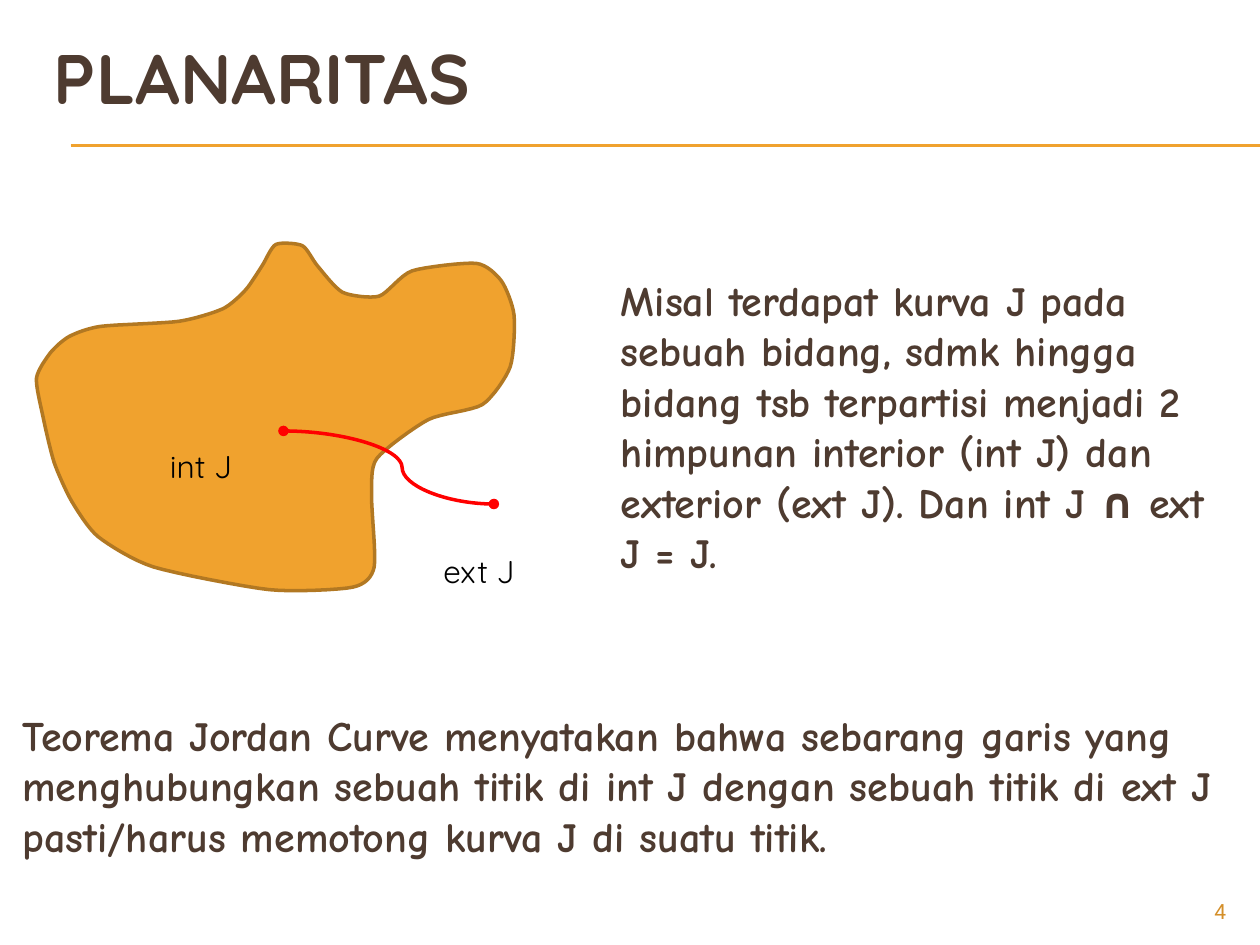
"""Build the planarity slide on the Jordan curve theorem."""
from itertools import chain
from lxml import etree
from pptx import Presentation
from pptx.dml.color import RGBColor
from pptx.enum import shapes as kinds, text as txt
from pptx.oxml import ns
from pptx.util import Inches, Pt

BROWN = RGBColor(0x4E, 0x3B, 0x30)
GOLD = RGBColor(0xF0, 0xA2, 0x2E)
DARK = RGBColor(0xB2, 0x78, 0x22)
OCHRE = RGBColor(0xD4, 0x8F, 0x29)
RED = RGBColor(0xFF, 0, 0)
BLACK = RGBColor(0, 0, 0)

TITLE = dict(size=40, font="Quicksand", color=BROWN, bold=True,
             anchor=txt.MSO_ANCHOR.MIDDLE)
BODY = dict(size=24, font="Comic Neue", color=BROWN, bold=True, before=4.8)
LABEL = dict(size=18, font="Quicksand", color=BLACK, wrap=False)
NUMBER = dict(size=12, font="Roboto", color=OCHRE, align=txt.PP_ALIGN.RIGHT)

TEXTS = [
    ("PLANARITAS", (0.33, 0.17, 9, 0.87), TITLE),
    ("Misal terdapat kurva J pada sebuah bidang, sdmk hingga bidang tsb "
     "terpartisi menjadi 2 himpunan interior (int J) dan exterior (ext J). "
     "Dan int J ∩ ext J = J.", (4.83, 2.13, 4.92, 2.62), BODY),
    ("4", (9, 7.08, 0.83, 0.27), NUMBER),
    ("Teorema Jordan Curve menyatakan bahwa sebarang garis yang "
     "menghubungkan sebuah titik di int J dengan sebuah titik di ext J "
     "pasti/harus memotong kurva J di suatu titik.",
     (0.08, 5.58, 9.92, 1.33), BODY),
    ("int J", (1.25, 3.5, 0.75, 0.42), LABEL),
    ("ext J", (3.42, 4.33, 0.83, 0.4), LABEL),
]

RULES = [1.15, 1.16]
LEFT, RIGHT = 0.56, 10

KNOTS = {
    "peak": [(2.4, 1.95), (2.19, 1.94), (2.08, 2.11), (1.95, 2.3)],
    "shoulder": [(1.77, 2.45), (1.42, 2.55), (0.8, 2.59), (0.55, 2.67)],
    "left": [(0.4, 2.8), (0.29, 3), (0.34, 3.3), (0.43, 3.67), (0.57, 3.98)],
    "base": [(0.78, 4.26), (1.22, 4.5), (2.14, 4.68), (2.8, 4.66)],
    "notch": [(2.97, 4.5), (2.95, 3.95), (2.99, 3.64), (3.4, 3.33)],
    "lobe": [(3.83, 3.21), (4.05, 2.91), (4.08, 2.5), (3.98, 2.23),
             (3.78, 2.09), (3.27, 2.15)],
    "dip": [(3.01, 2.35), (2.72, 2.32), (2.52, 2.11)],
}
STEPS = 8
PULL = 0.35

INNER, OUTER = (2.25, 3.42), (3.92, 4)
BEND = 56400


def write(slide, words, box, size, font, color, bold=False, before=0,
          align=txt.PP_ALIGN.LEFT, anchor=txt.MSO_ANCHOR.TOP, wrap=True):
    """Place one line or paragraph of text."""
    frame = slide.shapes.add_textbox(*map(Inches, box)).text_frame
    frame.word_wrap = wrap
    frame.vertical_anchor = anchor
    para = frame.paragraphs[0]
    para.alignment = align
    para.space_before = Pt(before)
    run = para.add_run()
    run.text = words
    run.font.size = Pt(size)
    run.font.name = font
    run.font.bold = bold
    run.font.color.rgb = color


def join(slide, kind, start, end, color, width):
    """Draw a connector without shadow."""
    line = slide.shapes.add_connector(kind, *map(Inches, start + end))
    line.line.color.rgb = color
    line.line.width = Pt(width)
    etree.SubElement(line._element.spPr, ns.qn("a:effectLst"))
    return line


def blend(a, b, c, d, t):
    """Return the spline value between b and c at fraction t."""
    rise, fall = PULL * (c - a), PULL * (d - b)
    ease = t * t * (3 - 2 * t)
    return (b + (c - b) * ease
            + rise * t * (1 - t) ** 2 - fall * t * t * (1 - t))


def smooth(knots):
    """Return points on a closed spline through the knots."""
    count = len(knots)
    points = []
    for i in range(count):
        near = [knots[(i + k) % count] for k in (-1, 0, 1, 2)]
        for step in range(STEPS):
            points.append(tuple(Inches(blend(*axis, step / STEPS))
                                for axis in zip(*near)))
    return points


def region(slide):
    """Draw the closed curve J."""
    start, *rest = smooth(list(chain(*KNOTS.values())))
    pen = slide.shapes.build_freeform(*start)
    pen.add_line_segments(rest, close=True)
    shape = pen.convert_to_shape()
    shape.shadow.inherit = False
    shape.fill.solid()
    shape.fill.fore_color.rgb = GOLD
    shape.line.color.rgb = DARK
    shape.line.width = Pt(2)


def arc(slide):
    """Draw the dotted-end path from inside J to outside."""
    line = join(slide, kinds.MSO_CONNECTOR.CURVE, INNER, OUTER, RED, 2)
    props = line._element.spPr
    guides = props.find(ns.qn("a:prstGeom")).get_or_add_avLst()
    etree.SubElement(guides, ns.qn("a:gd"), name="adj1", fmla=f"val {BEND}")
    for end in ("a:headEnd", "a:tailEnd"):
        etree.SubElement(props.find(ns.qn("a:ln")), ns.qn(end), type="oval")


def main():
    """Assemble and save the slide."""
    deck = Presentation()
    deck.slide_width, deck.slide_height = Inches(10), Inches(7.5)
    slide = deck.slides.add_slide(deck.slide_layouts[6])
    for y in RULES:
        join(slide, kinds.MSO_CONNECTOR.STRAIGHT, (LEFT, y), (RIGHT, y),
             GOLD, 0.75)
    region(slide)
    arc(slide)
    for words, box, style in TEXTS:
        write(slide, words, box, **style)
    deck.save("out.pptx")


if __name__ == "__main__":
    main()
